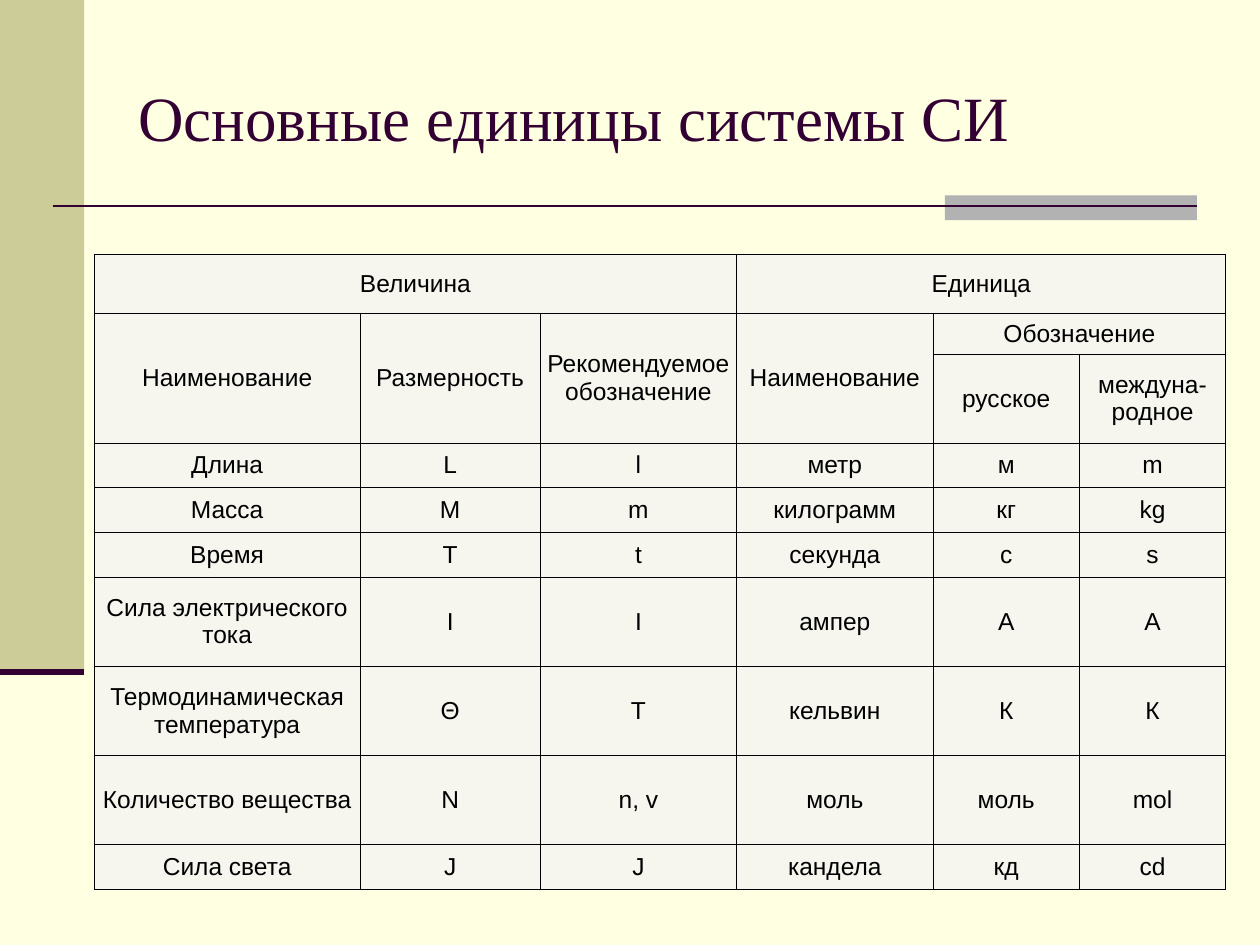
from lxml.etree import SubElement
from pptx import Presentation
from pptx.dml.color import RGBColor
from pptx.enum.shapes import MSO_CONNECTOR, MSO_SHAPE
from pptx.enum.text import MSO_ANCHOR, PP_ALIGN
from pptx.oxml.ns import qn
from pptx.util import Cm, Pt

COLORS = {
    "background": "FFFFE1",
    "sidebar": "CCCC99",
    "accent": "B2B2B2",
    "plum": "330033",
    "cell": "F6F6EF",
    "black": "000000",
}

COLUMN_WIDTHS = [5.36, 3.63, 3.96, 3.96, 2.95, 2.95]
ROW_HEIGHTS = [1.19, 0.83, 1.79, 0.9, 0.9, 0.9, 1.8, 1.8, 1.8, 0.9]

# Header cells: row, column, rows spanned, columns spanned, text
HEADERS = [
    (0, 0, 1, 3, "Величина"),
    (0, 3, 1, 3, "Единица"),
    (1, 0, 2, 1, "Наименование"),
    (1, 1, 2, 1, "Размерность"),
    (1, 2, 2, 1, "Рекомендуемое обозначение"),
    (1, 3, 2, 1, "Наименование"),
    (1, 4, 1, 2, "Обозначение"),
    (2, 4, 1, 1, "русское"),
    (2, 5, 1, 1, "междуна-родное"),
]
HEADER_ROWS = 3

UNITS = [
    ("Длина", "L", "l", "метр", "м", "m"),
    ("Масса", "М", "m", "килограмм", "кг", "kg"),
    ("Время", "Т", "t", "секунда", "с", "s"),
    ("Сила электрического тока", "I", "I", "ампер", "А", "А"),
    ("Термодинамическая температура", "Θ", "Т", "кельвин", "К", "К"),
    ("Количество вещества", "N", "n, v", "моль", "моль", "mol"),
    ("Сила света", "J", "J", "кандела", "кд", "cd"),
]


def color(name):
    return RGBColor.from_string(COLORS[name])


def add_block(slide, left, top, width, height, fill):
    shape = slide.shapes.add_shape(
        MSO_SHAPE.RECTANGLE, Cm(left), Cm(top), Cm(width), Cm(height))
    shape.shadow.inherit = False
    shape.fill.solid()
    shape.fill.fore_color.rgb = color(fill)
    shape.line.fill.background()


def add_rule(slide, left, top, width, weight):
    connector = slide.shapes.add_connector(
        MSO_CONNECTOR.STRAIGHT, Cm(left), Cm(top), Cm(left + width), Cm(top))
    connector.line.color.rgb = color("plum")
    connector.line.width = Pt(weight)
    SubElement(connector._element.spPr, qn("a:effectLst"))


def add_sidebar(slide, left, top, width, height):
    add_block(slide, left, top, width, height, "sidebar")
    add_rule(slide, left, top + height, width, 3.5)


def add_divider(slide, left, top, width, height):
    accent_width = 5.08
    add_block(slide, left + width - accent_width, top, accent_width, height, "accent")
    add_rule(slide, left, top + 0.21, width, 1.5)


def add_title(slide, left, top, width, height):
    box = slide.shapes.add_textbox(Cm(left), Cm(top), Cm(width), Cm(height))
    frame = box.text_frame
    frame.word_wrap = True
    frame.vertical_anchor = MSO_ANCHOR.MIDDLE
    paragraph = frame.paragraphs[0]
    paragraph.text = "Основные единицы системы СИ"
    paragraph.font.name = "Times New Roman"
    paragraph.font.size = Pt(36)
    paragraph.font.color.rgb = color("plum")


def style_cell(cell):
    cell.margin_left = cell.margin_right = Cm(0.08)
    cell.margin_top = cell.margin_bottom = Cm(0.13)
    cell.vertical_anchor = MSO_ANCHOR.MIDDLE
    paragraph = cell.text_frame.paragraphs[0]
    paragraph.alignment = PP_ALIGN.CENTER
    paragraph.font.name = "Arial"
    paragraph.font.size = Pt(14)
    paragraph.font.color.rgb = color("black")
    # Borders come before the fill in the cell properties
    properties = cell._tc.get_or_add_tcPr()
    for side in ("lnL", "lnR", "lnT", "lnB"):
        border = SubElement(properties, qn(f"a:{side}"), w=str(Pt(0.45)))
        fill = SubElement(border, qn("a:solidFill"))
        SubElement(fill, qn("a:srgbClr"), val=COLORS["black"])
    cell.fill.solid()
    cell.fill.fore_color.rgb = color("cell")


def add_units_table(slide, left, top):
    frame = slide.shapes.add_table(
        len(ROW_HEIGHTS), len(COLUMN_WIDTHS), Cm(left), Cm(top),
        Cm(sum(COLUMN_WIDTHS)), Cm(sum(ROW_HEIGHTS)))
    table = frame.table
    table.first_row = table.horz_banding = False
    for column, width in zip(table.columns, COLUMN_WIDTHS):
        column.width = Cm(width)
    for row, height in zip(table.rows, ROW_HEIGHTS):
        row.height = Cm(height)

    # Headers
    for row, column, row_span, column_span, text in HEADERS:
        cell = table.cell(row, column)
        if row_span * column_span > 1:
            cell.merge(table.cell(row + row_span - 1, column + column_span - 1))
        cell.text = text

    # Units
    for row, values in enumerate(UNITS, HEADER_ROWS):
        for column, value in enumerate(values):
            table.cell(row, column).text = value

    for cell in table.iter_cells():
        style_cell(cell)


def main():
    presentation = Presentation()
    presentation.slide_width = Cm(25.4)
    presentation.slide_height = Cm(19.05)
    slide = presentation.slides.add_slide(presentation.slide_layouts[6])
    slide.background.fill.solid()
    slide.background.fill.fore_color.rgb = color("background")

    add_sidebar(slide, 0, 0, 1.7, 13.55)
    add_divider(slide, 1.06, 3.94, 23.07, 0.5)
    add_units_table(slide, 1.9, 5.12)
    add_title(slide, 2.54, 0.76, 21.59, 3.18)
    presentation.save("out.pptx")


if __name__ == "__main__":
    main()
